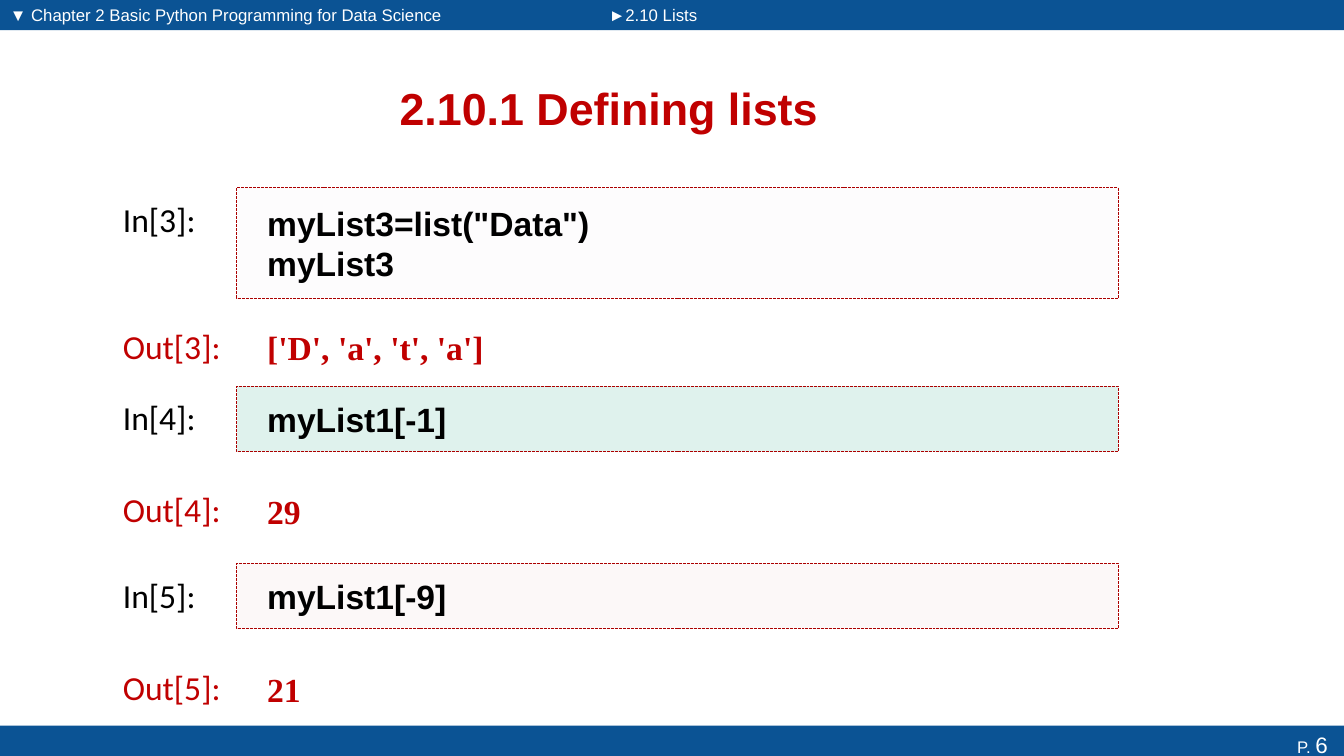
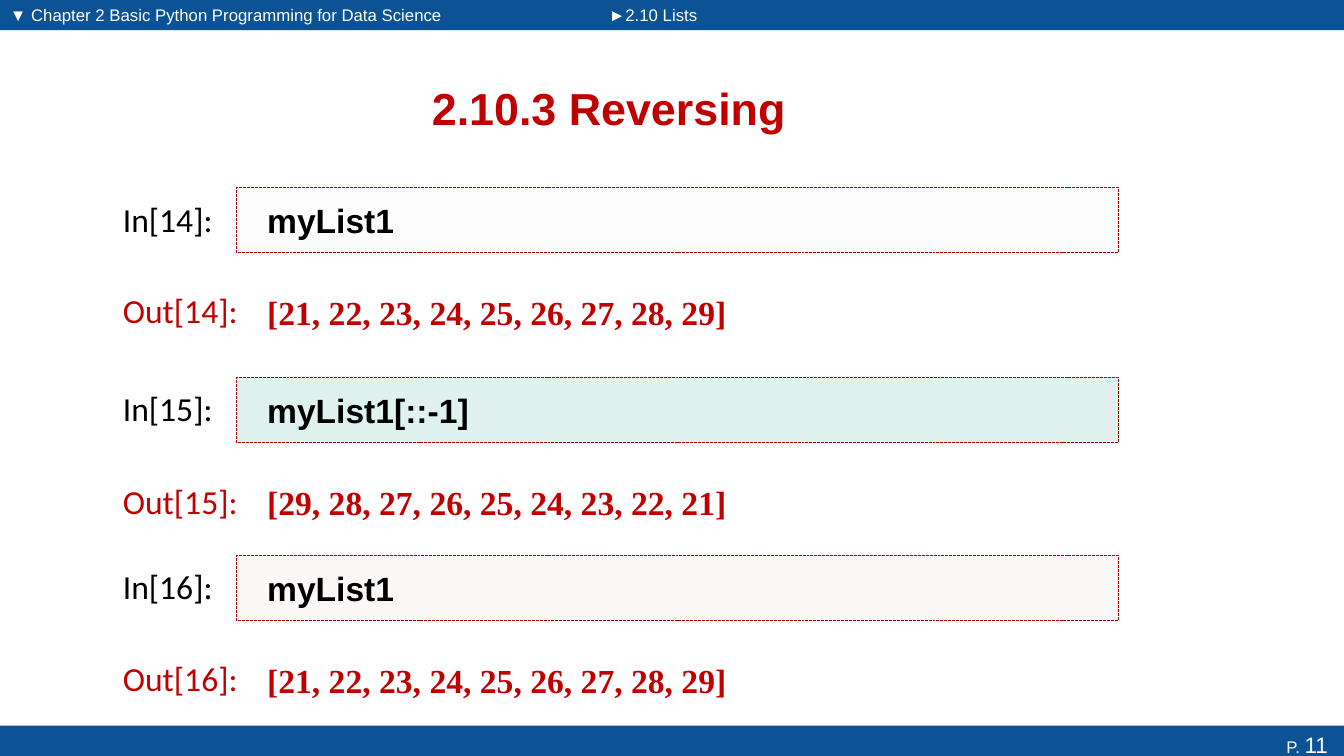
import lxml.etree
import pptx
import pptx.util
import pptx.dml.color
import pptx.enum.dml
import pptx.enum.shapes
import pptx.enum.text
import pptx.oxml.ns

Inches = pptx.util.Inches
Pt = pptx.util.Pt
ANCHOR = pptx.enum.text.MSO_ANCHOR
ALIGN = pptx.enum.text.PP_ALIGN
RECT = pptx.enum.shapes.MSO_SHAPE.RECTANGLE

BLUE, RED, BLACK, WHITE = "0B5394", "C00000", "000000", "FFFFFF"
CODE_FILLS = ["F1EEF4", "0C9B74", "EDCDCB"]
CODE_LEFT, CODE_W, ROW_H = 2.35, 8.74, 0.65
LABEL_LEFT, LABEL_W, LABEL_H, LABEL_DROP = 1.12, 1.35, 0.5, 0.06


def rgb(value):
    return pptx.dml.color.RGBColor.from_string(value)


def write(sp, lines, font="Arial", size=24, color=BLACK, bold=False, align=ALIGN.LEFT,
          anchor=ANCHOR.MIDDLE, left=0.1, right=0.1, wrap=True):
    tf = sp.text_frame
    tf.word_wrap = wrap
    tf.vertical_anchor = anchor
    tf.margin_left, tf.margin_right = Inches(left), Inches(right)
    tf.margin_top = tf.margin_bottom = Inches(0.05)
    tf.text = lines
    for p in tf.paragraphs:
        p.alignment = align
        for r in p.runs:
            r.font.name, r.font.size, r.font.bold = font, Pt(size), bold
            r.font.color.rgb = rgb(color)
    return tf


prs = pptx.Presentation()
prs.slide_width, prs.slide_height = Inches(13.33), Inches(7.5)
layout = prs.slide_layouts[5]

pages = [
    ("2.10.1 Defining lists", 6, [
        (3, 'myList3=list("Data")\nmyList3', "['D', 'a', 't', 'a']", 1.86, 1.1, 3.12),
        (4, "myList1[-1]", "29", 3.83, ROW_H, 4.74),
        (5, "myList1[-9]", "21", 5.59, ROW_H, 6.51),
    ]),
    ("2.10.3 Reversing", 11, [
        (14, "myList1", "[21, 22, 23, 24, 25, 26, 27, 28, 29]", 1.86, ROW_H, 2.77),
        (15, "myList1[::-1]", "[29, 28, 27, 26, 25, 24, 23, 22, 21]", 3.74, ROW_H, 4.66),
        (16, "myList1", "[21, 22, 23, 24, 25, 26, 27, 28, 29]", 5.51, ROW_H, 6.42),
    ]),
]
slides = [prs.slides.add_slide(layout) for page in pages]

for left, top, width in [(0, 0, 5.93), (5.93, 0, 7.4), (0, 7.2, 13.33)]:
    band = slides[0].shapes.add_shape(RECT, Inches(left), Inches(top), Inches(width), Inches(0.3))
    band.shadow.inherit = False
    band.fill.solid()
    band.fill.fore_color.rgb = rgb(BLUE)
    band.line.fill.background()
    layout.shapes.element.append(band.element)

for s, (title, number, cells) in zip(slides, pages):
    sp = s.shapes.title
    sp.left, sp.top, sp.width, sp.height = Inches(0.68), Inches(0.62), Inches(10.72), Inches(0.9)
    write(sp, title, size=32, color=RED, bold=True, align=ALIGN.CENTER)

    for left, width, heading in [
        (0, 4.83, "▼ Chapter 2 Basic Python Programming for Data Science"),
        (5.94, 2.57, "►2.10 Lists"),
    ]:
        sp = s.shapes.add_textbox(Inches(left), 0, Inches(width), Inches(0.3))
        write(sp, heading, size=12, color=WHITE)

    sp = s.shapes.add_textbox(Inches(11.33), Inches(7.2), Inches(2), Inches(0.3))
    tf = write(sp, "P. ", size=12, color=WHITE, align=ALIGN.RIGHT, anchor=ANCHOR.TOP, right=0.16)
    r = tf.paragraphs[0].add_run()
    r.text = str(number)
    r.font.name, r.font.size = "Arial", Pt(16)
    r.font.color.rgb = rgb(WHITE)

    for fill, (n, code, result, top, height, out_top) in zip(CODE_FILLS, cells):
        for label, y, color in [(f"In[{n}]:", top, BLACK), (f"Out[{n}]:", out_top, RED)]:
            sp = s.shapes.add_textbox(Inches(LABEL_LEFT), Inches(y + LABEL_DROP),
                                      Inches(LABEL_W), Inches(LABEL_H))
            write(sp, label, font="Calibri", color=color, anchor=ANCHOR.TOP, wrap=False)

        sp = s.shapes.add_shape(RECT, Inches(CODE_LEFT), Inches(top), Inches(CODE_W), Inches(height))
        sp.shadow.inherit = False
        sp.fill.solid()
        sp.fill.fore_color.rgb = rgb(fill)
        clr = sp.element.spPr.find(".//" + pptx.oxml.ns.qn("a:srgbClr"))
        lxml.etree.SubElement(clr, pptx.oxml.ns.qn("a:alpha"), val="13000")
        sp.line.color.rgb = rgb("AB0000")
        sp.line.width = Pt(0.7)
        sp.line.dash_style = pptx.enum.dml.MSO_LINE.SQUARE_DOT
        write(sp, code, bold=True, left=0.3)

        sp = s.shapes.add_textbox(Inches(CODE_LEFT), Inches(out_top), Inches(CODE_W), Inches(ROW_H))
        write(sp, result, font="Times New Roman", color=RED, bold=True, left=0.3)

prs.save("out.pptx")
